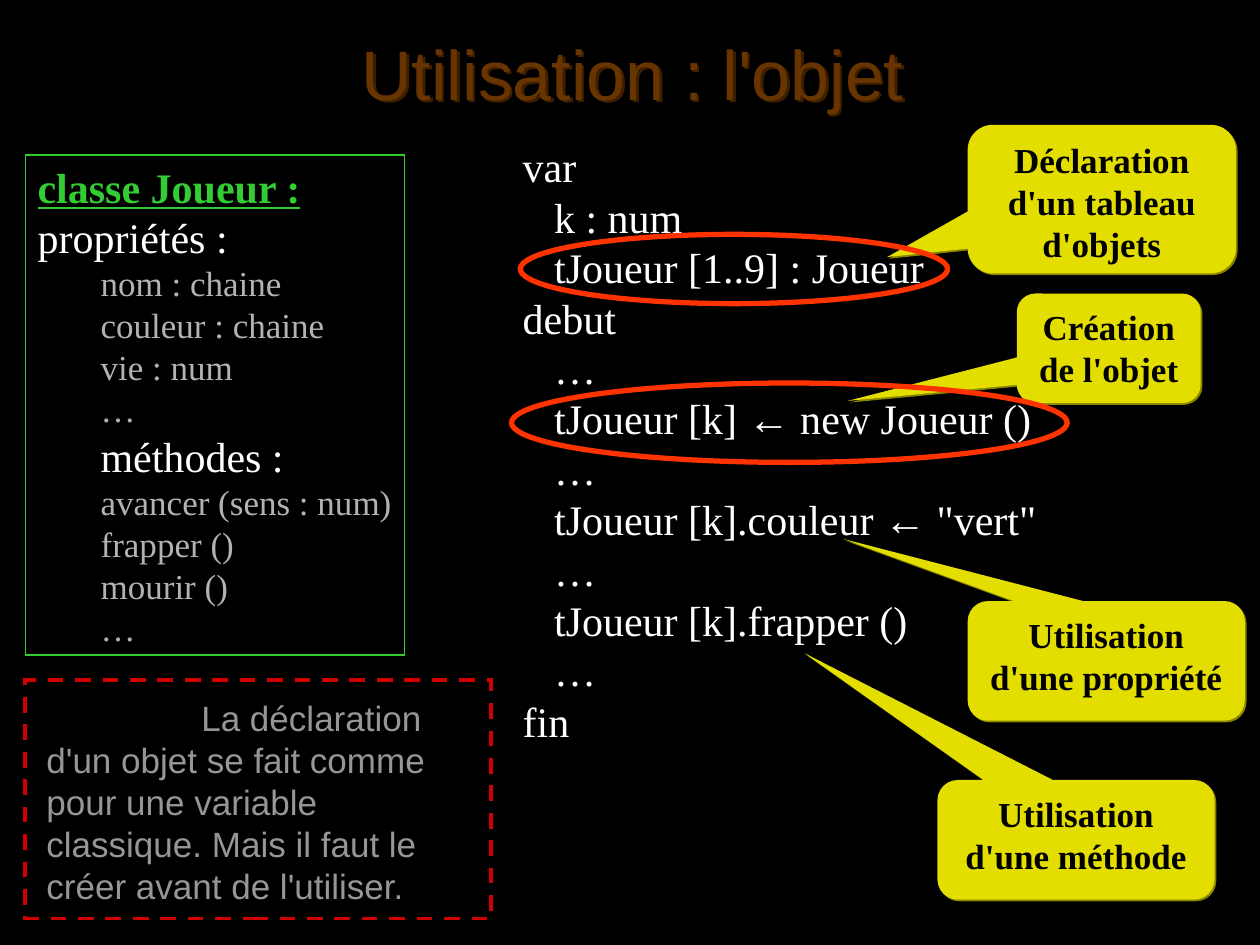
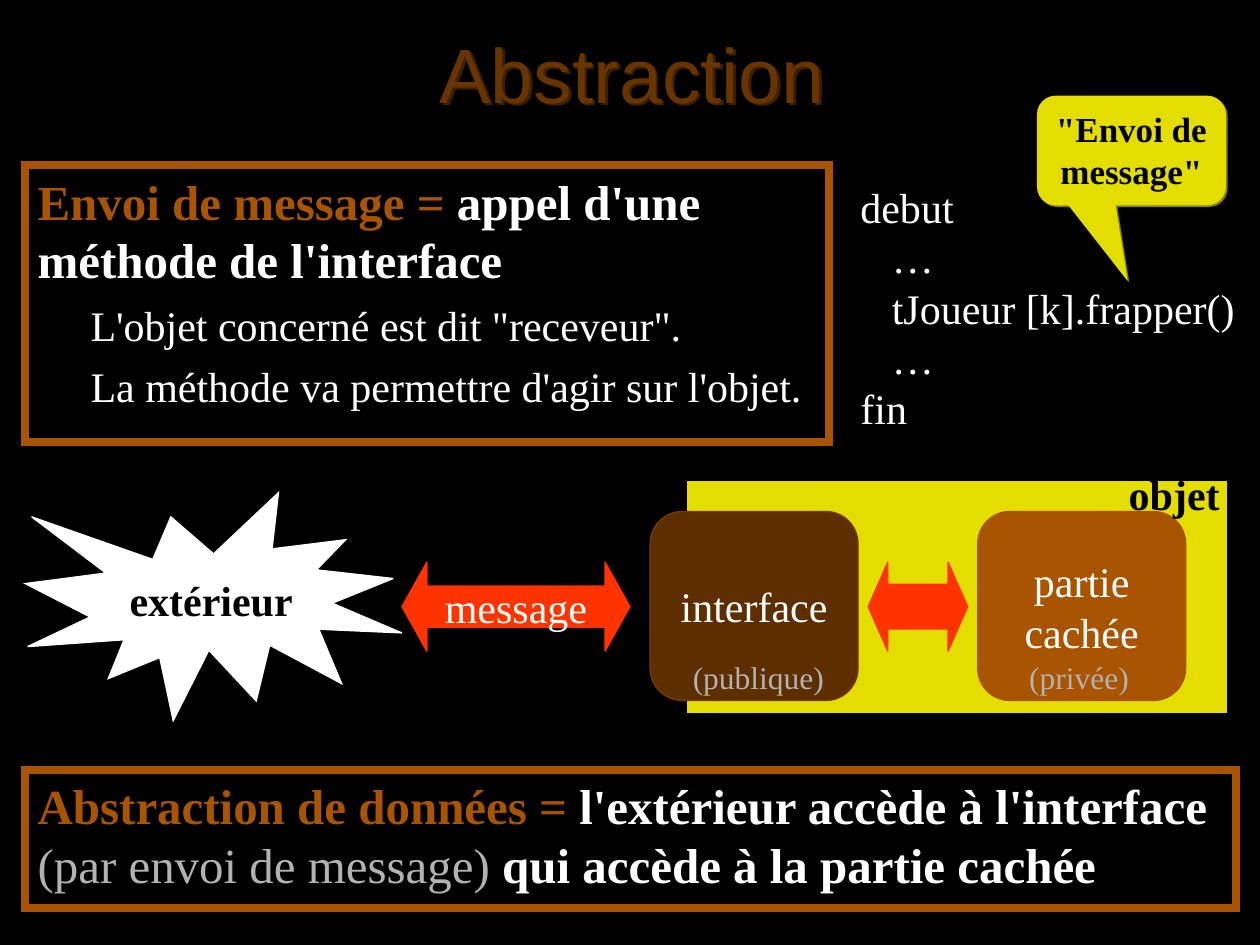
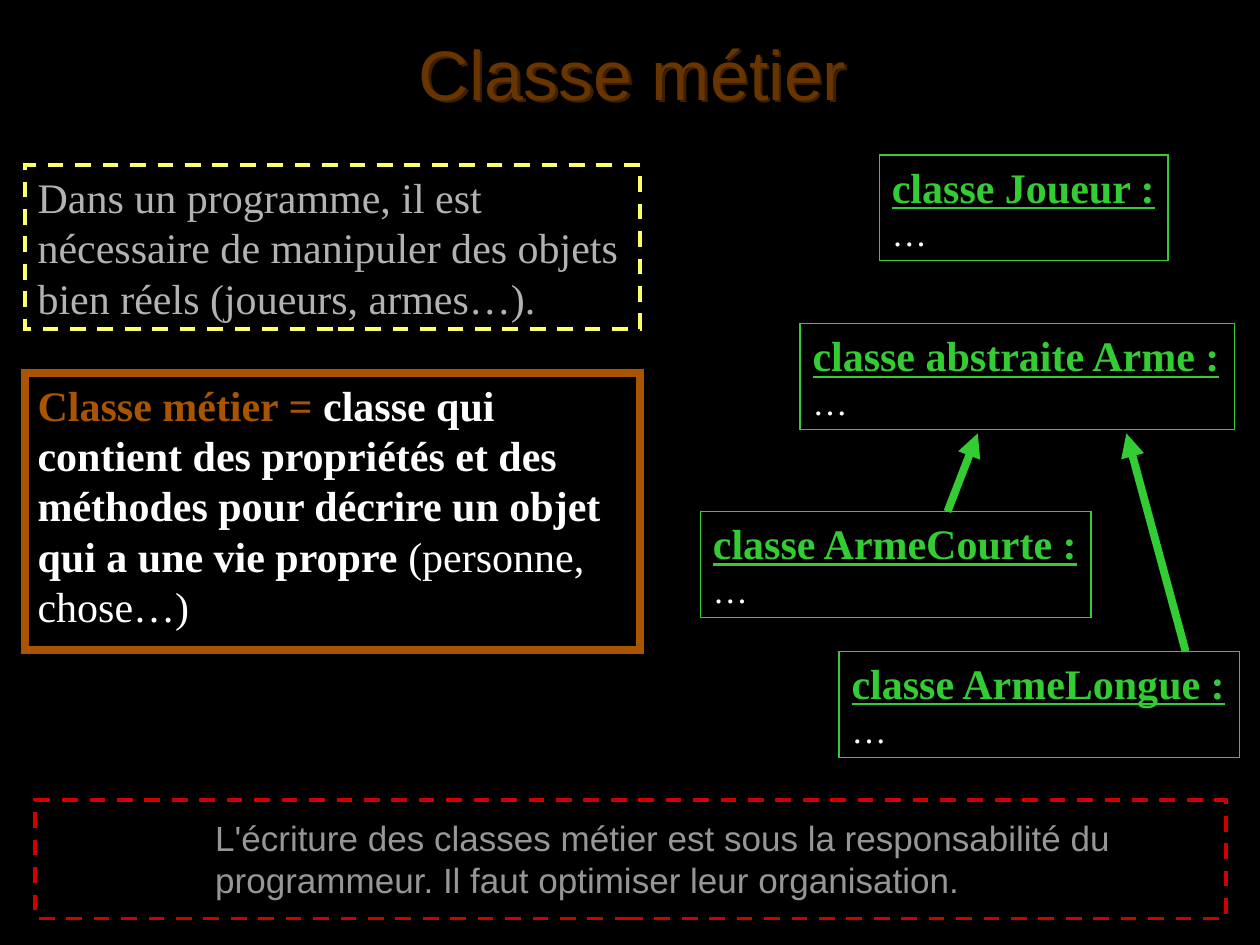
from dataclasses import dataclass, replace

from lxml import etree
from pptx import Presentation
from pptx.dml.color import RGBColor
from pptx.enum import dml, shapes, text
from pptx.oxml import ns
from pptx.util import Inches, Pt

BLACK = RGBColor(0x00, 0x00, 0x00)
WHITE = RGBColor(0xFF, 0xFF, 0xFF)
GREY = RGBColor(0xB2, 0xB2, 0xB2)
NOTE_GREY = RGBColor(0x96, 0x96, 0x96)
GREEN = RGBColor(0x33, 0xCC, 0x33)
YELLOW = RGBColor(0xE3, 0xDE, 0x00)
OLIVE = RGBColor(0x88, 0x85, 0x00)
PALE_YELLOW = RGBColor(0xFF, 0xFF, 0x66)
BROWN = RGBColor(0xA8, 0x54, 0x00)
DARK_BROWN = RGBColor(0x5C, 0x2E, 0x00)
EDGE_BROWN = RGBColor(0x76, 0x3B, 0x00)
TITLE_BROWN = RGBColor(0x68, 0x34, 0x00)
TITLE_SHADOW = RGBColor(0x3E, 0x1F, 0x00)
RED = RGBColor(0xD0, 0x00, 0x00)
ORANGE = RGBColor(0xFF, 0x33, 0x00)

SERIF, SANS = "Times New Roman", "Arial"
LEADING = 1.2
SHAPE = shapes.MSO_SHAPE
CENTER = text.PP_ALIGN.CENTER
MIDDLE = text.MSO_ANCHOR.MIDDLE


@dataclass(frozen=True)
class Style:
    size: int = 24
    color: RGBColor = WHITE
    bold: bool = False
    underline: bool = False
    font: str = SERIF


@dataclass
class Para:
    runs: list  # (words, style) pairs
    left: float = 0
    first: float = 0
    before: int = 0


BODY = Style()
BOLD = Style(bold=True)
MEMBER = Style(20, GREY)
HEADING = Style(24, GREEN, True, True)
CALLOUT = Style(20, BLACK, True)
LABEL = Style(24, BLACK, True)
CAPTION = Style(18, GREY)
NOTE = Style(20, NOTE_GREY, font=SANS)
TERM = Style(24, BROWN, True)
BIG, BIG_TERM = replace(BOLD, size=28), replace(TERM, size=28)

# ---- Content: slide 1 ----
PLAYER_CLASS = [
    ("classe Joueur :", HEADING, 0),
    ("propriétés :", BODY, 0),
    ("nom : chaine", MEMBER, 0.5),
    ("couleur : chaine", MEMBER, 0.5),
    ("vie : num", MEMBER, 0.5),
    ("…", MEMBER, 0.5),
    ("méthodes :", BODY, 0.5),
    ("avancer (sens : num)", MEMBER, 0.5),
    ("frapper ()", MEMBER, 0.5),
    ("mourir ()", MEMBER, 0.5),
    ("…", MEMBER, 0.5),
]
OBJECT_CODE = """var
   k : num
   tJoueur [1..9] : Joueur
debut
   …
   tJoueur [k] ← new Joueur ()
   …
   tJoueur [k].couleur ← "vert"
   …
   tJoueur [k].frapper ()
   …
fin"""
OBJECT_CALLOUTS = [  # words, box, pointer offset
    ("Déclaration d'un tableau d'objets", (7.68, 0.99, 2.13, 1.18), (-0.8, 0.39)),
    ("Utilisation d'une propriété", (7.68, 4.77, 2.2, 0.95), (-0.95, -1.02)),
    ("Utilisation d'une méthode", (7.44, 6.19, 2.2, 0.95), (-0.98, -1.56)),
    ("Création de l'objet", (8.07, 2.33, 1.46, 0.87), (-1.42, 0.48)),
]
CODE_RINGS = [(4.13, 1.86, 3.39, 0.55), (4.06, 3.04, 4.41, 0.63)]
DECLARATION_NOTE = ("La déclaration d'un objet se fait comme pour une variable "
                    "classique. Mais il faut le créer avant de l'utiliser.")

# ---- Content: slide 2 ----
MESSAGE_CODE = """debut
   …
   tJoueur [k].frapper()
   …
fin"""
MESSAGE_CALLOUT = ('"Envoi de message"', (8.23, 0.76, 1.5, 0.87), (-0.02, 1.19))
MESSAGE_DEFINITION = [
    Para([("Envoi de message = ", BIG_TERM),
          ("appel d'une méthode de l'interface", BIG)]),
    Para([("L'objet concerné est dit \"receveur\".", BODY)], 0.42, before=6),
    Para([("La méthode va permettre d'agir sur l'objet.", BODY)], 0.42, before=6),
]
ABSTRACTION_DEFINITION = [
    Para([("Abstraction de données =", BIG_TERM),
          (" l'extérieur accède à l'interface ", BIG),
          ("(par envoi de message)", Style(28, GREY)),
          (" qui accède à la partie cachée", BIG)]),
]
DIAGRAM = [  # preset, box, fill, line, line width, adjustments, lines, style
    (SHAPE.EXPLOSION1, (0.2, 3.91, 2.99, 1.81), WHITE, WHITE, 0.75, (), ["extérieur"], LABEL),
    (SHAPE.RECTANGLE, (5.47, 3.83, 4.25, 1.81), YELLOW, YELLOW, 2.25, (), [], BODY),
    (SHAPE.ROUNDED_RECTANGLE, (5.16, 4.06, 1.65, 1.5), DARK_BROWN, EDGE_BROWN, 0.75,
     (0.17,), ["interface"], BODY),
    (SHAPE.ROUNDED_RECTANGLE, (7.76, 4.06, 1.65, 1.5), BROWN, BROWN, 0.75,
     (0.17,), ["partie", "cachée"], BODY),
    (SHAPE.LEFT_RIGHT_ARROW, (3.19, 4.46, 1.81, 0.71), ORANGE, ORANGE, 0.75,
     (0.46, 0.28), ["message"], BODY),
    (SHAPE.LEFT_RIGHT_ARROW, (6.89, 4.46, 0.79, 0.71), ORANGE, ORANGE, 0.75,
     (0.5, 0.22), [], BODY),
]
DIAGRAM_LABELS = [
    ("objet", (8.86, 3.67, 0.92, 0.5), LABEL),
    ("(privée)", (8.07, 5.17, 0.99, 0.4), CAPTION),
    ("(publique)", (5.4, 5.17, 1.24, 0.4), CAPTION),
]

# ---- Content: slide 3 ----
PROGRAM_REMARK = ("Dans un programme, il est nécessaire de manipuler des objets "
                  "bien réels (joueurs, armes…).")
BUSINESS_DEFINITION = [
    Para([("Classe métier = ", TERM),
          ("classe qui contient des propriétés et des méthodes pour décrire "
           "un objet qui a une vie propre ", BOLD),
          ("(personne, chose…)", BODY)]),
]
ORGANISATION_NOTE = ("L'écriture des classes métier est sous la responsabilité du "
                     "programmeur. Il faut optimiser leur organisation.")
CLASS_BOXES = [  # heading, left, top, width
    ("classe Joueur :", 6.98, 1.23, 2.29),
    ("classe abstraite Arme :", 6.35, 2.57, 3.45),
    ("classe ArmeLongue :", 6.66, 5.17, 3.18),
    ("classe ArmeCourte :", 5.56, 4.06, 3.1),
]
CLASS_BOX_HEIGHT = 0.84
INHERITANCE = [((9.41, 5.17), (8.94, 3.44)), ((7.52, 4.06), (7.76, 3.44))]


# ---- Helpers ----
def inches(values):
    return [Inches(value) for value in values]


def add_shadow(shape, color, distance):
    shape.shadow.inherit = False
    effects = shape._element.spPr.find(ns.qn("a:effectLst"))
    shadow = etree.SubElement(effects, ns.qn("a:outerShdw"), blurRad="0",
                              dist=str(Pt(distance)), dir="2700000", algn="ctr", rotWithShape="0")
    etree.SubElement(shadow, ns.qn("a:srgbClr"), val=str(color))


def lines(words, style):
    return [Para([(line, style)]) for line in words]


def write(frame, paras, align=None, anchor=text.MSO_ANCHOR.TOP, wrap=True):
    frame.word_wrap = wrap
    frame.vertical_anchor = anchor
    for index, para in enumerate(paras):
        paragraph = frame.add_paragraph() if index else frame.paragraphs[0]
        paragraph.alignment = align or text.PP_ALIGN.LEFT
        paragraph.line_spacing = Pt(LEADING * max(style.size for _, style in para.runs))
        paragraph.space_before = Pt(para.before)
        properties = paragraph._p.get_or_add_pPr()
        properties.set("marL", str(Inches(para.left)))
        properties.set("indent", str(Inches(para.first)))
        for words, style in para.runs:
            run = paragraph.add_run()
            run.text = words
            run.font.size = Pt(style.size)
            run.font.bold = style.bold
            run.font.underline = style.underline
            run.font.color.rgb = style.color
            run.font.name = style.font


def add_text(slide, box, paras, **layout):
    label = slide.shapes.add_textbox(*inches(box))
    write(label.text_frame, paras, **layout)
    return label


def add_shape(slide, preset, box, fill=None, line=None, width=0.75, dash=False, adjust=()):
    shape = slide.shapes.add_shape(preset, *inches(box))
    shape.shadow.inherit = False
    for index, value in enumerate(adjust):
        shape.adjustments[index] = value
    if fill is None:
        shape.fill.background()
    else:
        shape.fill.solid()
        shape.fill.fore_color.rgb = fill
    if line is None:
        shape.line.fill.background()
    else:
        shape.line.color.rgb = line
        shape.line.width = Pt(width)
        if dash:
            shape.line.dash_style = dml.MSO_LINE.DASH
        etree.SubElement(shape.line._get_or_add_ln(), ns.qn("a:miter"), lim="800000")
    return shape


def add_frame(slide, box, color, width=0.75, paras=(), dash=False, wrap=True):
    frame = add_shape(slide, SHAPE.RECTANGLE, box, line=color, width=width, dash=dash)
    write(frame.text_frame, paras, wrap=wrap)


def add_callout(slide, words, box, pointer):
    callout = add_shape(slide, SHAPE.ROUNDED_RECTANGULAR_CALLOUT, box, YELLOW,
                        adjust=(*pointer, 0.17))
    add_shadow(callout, OLIVE, 1.4)
    write(callout.text_frame, lines([words], CALLOUT), align=CENTER)


def add_code(slide, box, code):
    arrow = replace(BODY, font=SANS)
    paras = []
    for line in code.splitlines():
        before, sign, after = line.partition("←")
        parts = [(before, BODY), (sign, arrow), (after, BODY)]
        paras.append(Para([part for part in parts if part[0]]))
    add_text(slide, box, paras)


def add_arrow(slide, start, end):
    arrow = slide.shapes.add_connector(shapes.MSO_CONNECTOR.STRAIGHT, *inches(start + end))
    arrow.line.color.rgb = GREEN
    arrow.line.width = Pt(4.5)
    etree.SubElement(arrow.line._get_or_add_ln(), ns.qn("a:tailEnd"), type="triangle")
    etree.SubElement(arrow._element.spPr, ns.qn("a:effectLst"))


def add_slide(prs, title, size=40):
    slide = prs.slides.add_slide(prs.slide_layouts[6])
    style = Style(size, TITLE_BROWN, font=SANS)
    heading = add_text(slide, (0.27, 0.13, 9.5, 0.89), lines([title], style),
                       align=CENTER, anchor=MIDDLE)
    heading.text_frame.paragraphs[0].line_spacing = 1.0
    add_shadow(heading, TITLE_SHADOW, 2)
    return slide


# ---- Slides ----
def build_object(prs):
    slide = add_slide(prs, "Utilisation : l'objet")
    members = [Para([(words, style)], left) for words, style, left in PLAYER_CLASS]
    add_frame(slide, (0.2, 1.23, 3.01, 3.97), GREEN, paras=members, wrap=False)
    add_code(slide, (4.05, 1.07, 4.6, 4.9), OBJECT_CODE)
    for callout in OBJECT_CALLOUTS:
        add_callout(slide, *callout)
    add_text(slide, (0.27, 5.48, 3.54, 1.77), [Para([(DECLARATION_NOTE, NOTE)], first=1.23)])
    add_frame(slide, (0.2, 5.4, 3.7, 1.89), RED, 2.25, dash=True)
    for ring in CODE_RINGS:
        add_shape(slide, SHAPE.OVAL, ring, line=ORANGE, width=3)


def build_abstraction(prs):
    slide = add_slide(prs, "Abstraction", 44)
    add_code(slide, (6.73, 1.39, 3.25, 2.1), MESSAGE_CODE)
    add_callout(slide, *MESSAGE_CALLOUT)
    add_frame(slide, (0.2, 1.31, 6.38, 2.2), BROWN, 4.5, MESSAGE_DEFINITION)
    add_frame(slide, (0.2, 6.11, 9.61, 1.1), BROWN, 4.5, ABSTRACTION_DEFINITION)
    for preset, box, fill, line, width, adjust, words, style in DIAGRAM:
        part = add_shape(slide, preset, box, fill, line, width, adjust=adjust)
        write(part.text_frame, lines(words, style), CENTER, MIDDLE, wrap=False)
    for words, box, style in DIAGRAM_LABELS:
        add_text(slide, box, lines([words], style), wrap=False)


def build_business_class(prs):
    slide = add_slide(prs, "Classe métier")
    add_frame(slide, (0.2, 1.31, 4.88, 1.3), PALE_YELLOW, 2.25,
              lines([PROGRAM_REMARK], Style(24, GREY)), dash=True)
    add_text(slide, (1.61, 6.43, 7.95, 0.77), lines([ORGANISATION_NOTE], NOTE))
    add_frame(slide, (0.28, 6.35, 9.45, 0.94), RED, 2.25, dash=True)
    add_frame(slide, (0.2, 2.96, 4.88, 2.2), BROWN, 4.5, BUSINESS_DEFINITION)
    for heading, left, top, width in CLASS_BOXES:
        paras = [Para([(heading, HEADING)]), Para([("…", Style(20))])]
        add_frame(slide, (left, top, width, CLASS_BOX_HEIGHT), GREEN, paras=paras, wrap=False)
    for start, end in INHERITANCE:
        add_arrow(slide, start, end)


def main():
    prs = Presentation()
    prs.slide_width, prs.slide_height = Inches(10), Inches(7.5)
    backdrop = prs.slide_master.background.fill
    backdrop.solid()
    backdrop.fore_color.rgb = BLACK
    build_object(prs)
    build_abstraction(prs)
    build_business_class(prs)
    prs.save("out.pptx")


if __name__ == "__main__":
    main()
